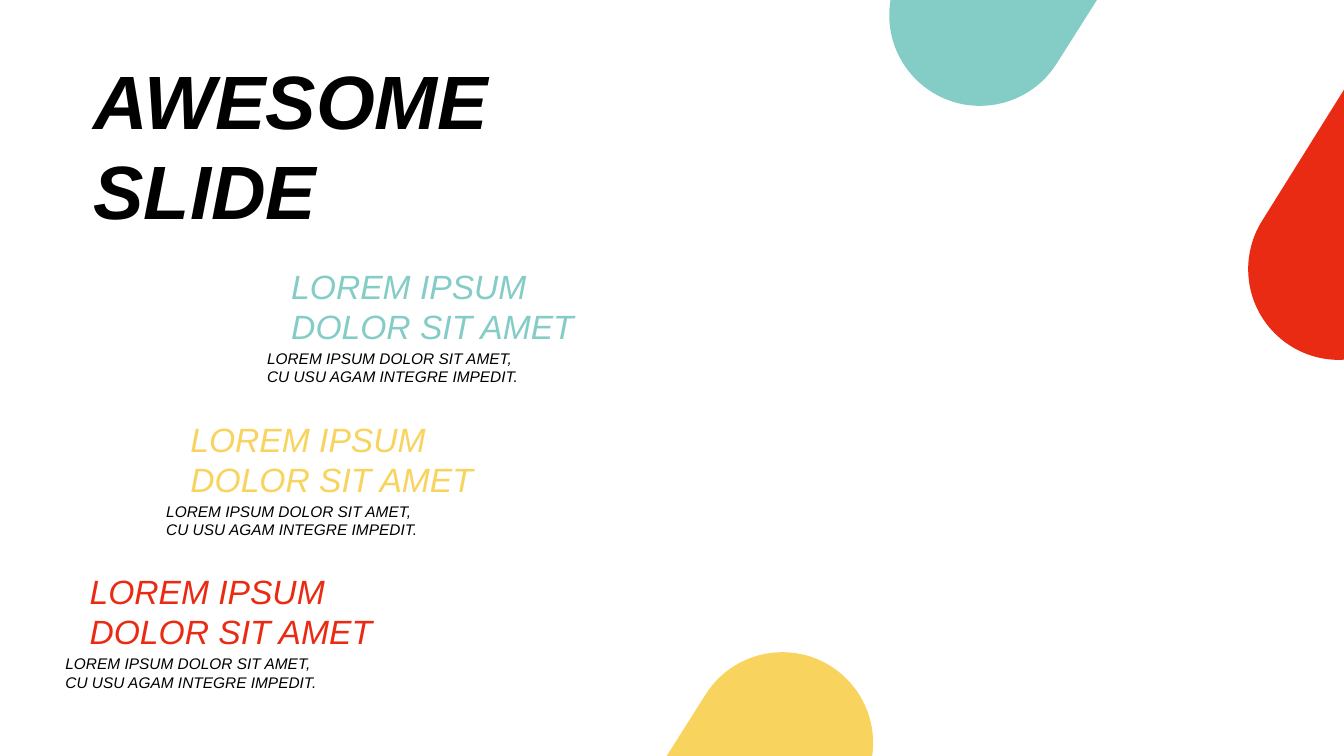
from dataclasses import dataclass
from itertools import pairwise
from math import cos, radians, sin, tan

from lxml.etree import SubElement
from pptx import Presentation
from pptx.dml.color import RGBColor
from pptx.enum.text import MSO_ANCHOR, MSO_AUTO_SIZE
from pptx.oxml.ns import qn
from pptx.util import Inches, Pt


@dataclass(frozen=True)
class Theme:
    font: str = "Arial"
    black: str = "000000"
    teal: str = "84CCC6"
    yellow: str = "F8D45E"
    red: str = "EA2B13"
    title_size: int = 54
    heading_size: int = 24
    body_size: int = 11


class SlideBuilder:
    def __init__(self, slide, theme):
        self.slide = slide
        self.theme = theme

    def text(self, shapes, left, top, width, height, lines, size, color, bold=False):
        box = shapes.add_textbox(
            Inches(left), Inches(top), Inches(width), Inches(height)
        )
        frame = box.text_frame
        frame.word_wrap = True
        frame.auto_size = MSO_AUTO_SIZE.SHAPE_TO_FIT_TEXT
        frame.vertical_anchor = MSO_ANCHOR.MIDDLE
        frame.text = "\n".join(lines)
        for paragraph in frame.paragraphs:
            paragraph.font.name = self.theme.font
            paragraph.font.size = Pt(size)
            paragraph.font.bold = bold
            paragraph.font.italic = True
            paragraph.font.color.rgb = RGBColor.from_string(color)

    def capsule_end(self, center, degrees, corner, color, radius=0.9):
        def arc_point(angle, bend=0):
            x = center[0] + radius * (cos(angle) - bend * sin(angle))
            y = center[1] + radius * (sin(angle) + bend * cos(angle))
            return Inches(x), Inches(y)

        angles = [radians(degree) for degree in degrees]
        points = [arc_point(angle) for angle in angles]
        points.append((Inches(corner[0]), Inches(corner[1])))
        builder = self.slide.shapes.build_freeform(*points[0])
        builder.add_line_segments(points[1:], close=True)
        shape = builder.convert_to_shape()
        segments = list(shape.element.iter(qn("a:lnTo")))
        for segment, (start, end) in zip(segments, pairwise(angles)):
            bend = 4 / 3 * tan((end - start) / 4)
            curve = segment.makeelement(qn("a:cubicBezTo"))
            for x, y in (arc_point(start, bend), arc_point(end, -bend), arc_point(end)):
                SubElement(curve, qn("a:pt"), x=str(x - shape.left), y=str(y - shape.top))
            segment.getparent().replace(segment, curve)
        shape.shadow.inherit = False
        shape.fill.solid()
        shape.fill.fore_color.rgb = RGBColor.from_string(color)
        shape.line.fill.background()

    def item(self, left, top, color):
        shapes = self.slide.shapes.add_group_shape().shapes
        self.text(shapes, left, top + 0.83, 3.25, 0.47,
                  ["LOREM IPSUM DOLOR SIT AMET,", "CU USU AGAM INTEGRE IMPEDIT."],
                  self.theme.body_size, self.theme.black)
        self.text(shapes, left + 0.24, top, 3.25, 0.91,
                  ["LOREM IPSUM", "DOLOR SIT AMET"],
                  self.theme.heading_size, color)


def main():
    presentation = Presentation()
    presentation.slide_width = Inches(13.33)
    presentation.slide_height = Inches(7.5)
    theme = Theme()
    slide = presentation.slides.add_slide(presentation.slide_layouts[6])
    builder = SlideBuilder(slide, theme)

    builder.capsule_end((9.72, 0.15), (32.3, 90, 180, 189.6), (10.88, 0), theme.teal)
    builder.capsule_end((13.28, 2.67), (86.8, 90, 180, 212.3), (13.33, 0.89), theme.red)
    builder.capsule_end((7.76, 7.37), (212.3, 270, 360, 369.6), (6.6, 7.52), theme.yellow)

    builder.text(slide.shapes, 0.83, 0.47, 5.19, 1.92, ["AWESOME", "SLIDE"],
                 theme.title_size, theme.black, bold=True)
    builder.item(1.55, 4.1, theme.yellow)
    builder.item(2.55, 2.58, theme.teal)
    builder.item(0.55, 5.61, theme.red)

    presentation.save("out.pptx")


if __name__ == "__main__":
    main()
